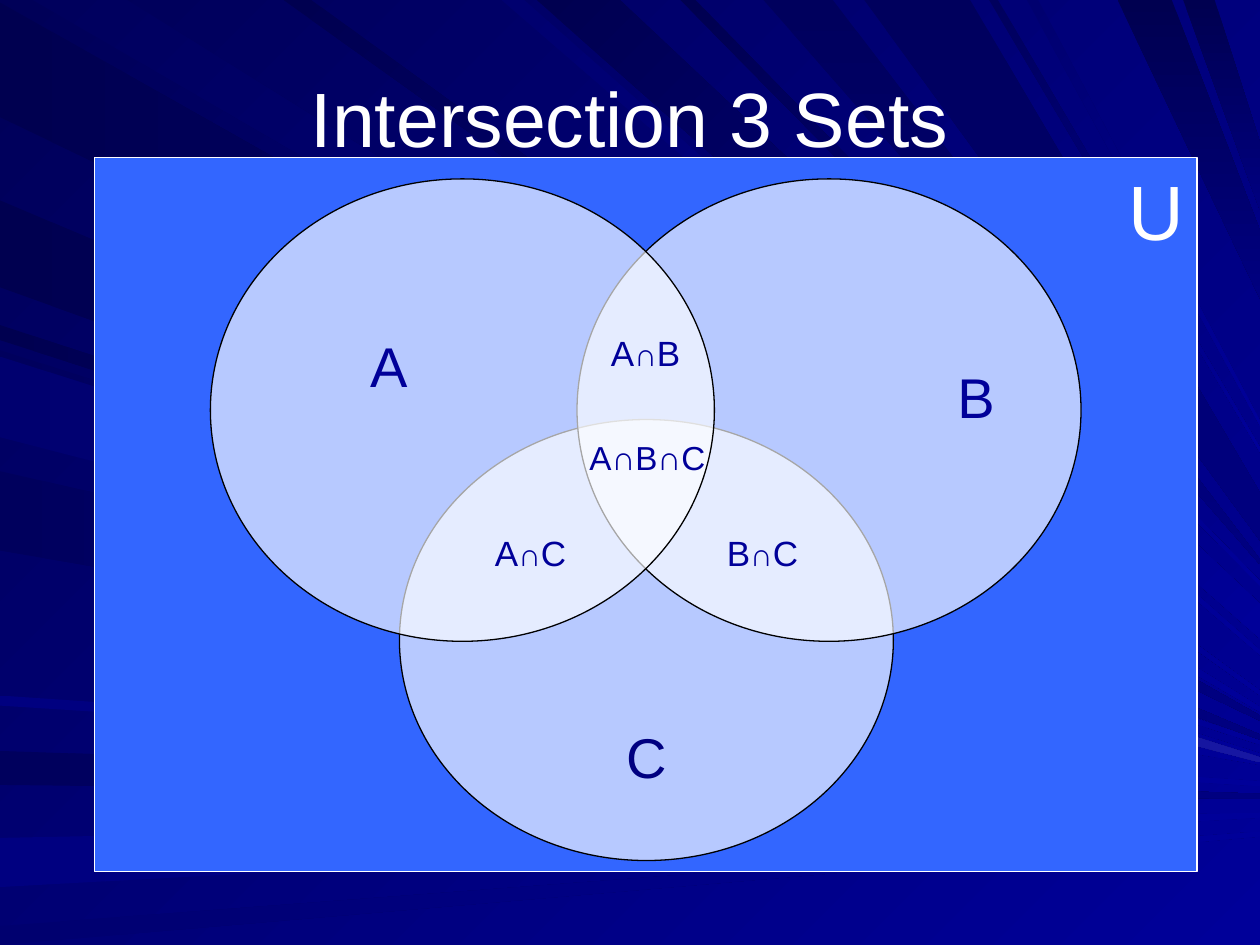
from lxml import etree
from pptx import Presentation
from pptx.dml.color import RGBColor
from pptx.enum.shapes import MSO_SHAPE
from pptx.enum.text import MSO_ANCHOR, PP_ALIGN
from pptx.oxml.ns import qn
from pptx.util import Inches, Pt

LEFT, CENTER, RIGHT = PP_ALIGN.LEFT, PP_ALIGN.CENTER, PP_ALIGN.RIGHT
TOP, MIDDLE, BOTTOM = MSO_ANCHOR.TOP, MSO_ANCHOR.MIDDLE, MSO_ANCHOR.BOTTOM
RECTANGLE, OVAL = MSO_SHAPE.RECTANGLE, MSO_SHAPE.OVAL

FONT = "Arial"
WIDTH, HEIGHT = 10, 7.5
COLORS = {
    "white": "FFFFFF", "black": "000000", "universe": "3366FF",
    "label": "000099", "navy": "000080", "deep": "000058", "glow": "1717A2",
    "ray dark": "000050", "ray middle": "00005D", "ray soft": "00006F",
}
SET_OPACITY = 65

# Rays run from a span of the left or top edge to a tip on the right edge:
# edge, start colour, end colour, span start, span end, tip height, tip width
THIN = 0.04
RAYS = [
    ("left", "ray dark", "navy", 0.02, 0.93, 5.7, THIN),
    ("top", "ray middle", "label", 0.26, 1.01, 5.63, THIN),
    ("left", "ray middle", "navy", 5.96, 6.23, 6.32, THIN),
    ("left", "navy", "label", 6.65, 7.04, 6.47, THIN),
    ("left", "ray soft", "label", 7.35, 7.5, 6.62, THIN),
    ("left", "ray dark", "label", 2.58, 2.7, 5.89, THIN),
    ("left", "ray dark", "navy", 1.59, 2.28, 5.85, THIN),
    ("top", "ray soft", "label", 3.98, 4.16, 5.18, THIN),
    ("top", "ray dark", "label", 4.26, 4.92, 4.93, 0.28),
    ("top", "ray dark", "label", 5.4, 5.52, 4.63, THIN),
    ("top", "ray middle", "navy", 6.06, 6.61, 4.46, THIN),
    ("top", "ray dark", "navy", 8.87, 9.3, 2.1, 0.54),
    ("top", "ray dark", "navy", 9.39, 9.64, 1.4, 0.54),
    ("left", "ray middle", "label", 2.78, 3.42, 6, THIN),
    ("left", "ray middle", "label", 3.74, 4.37, 6.05, THIN),
    ("left", "navy", "label", 5.52, 5.6, 6.22, THIN),
    ("top", "ray dark", "label", 2.25, 2.47, 5.5, THIN),
    ("top", "ray middle", "navy", 6.86, 7.7, 4.1, 0.38),
    ("top", "ray middle", "label", 7.85, 7.92, 3.57, THIN),
    ("top", "ray soft", "label", 8.15, 8.24, 3.36, THIN),
    ("left", "ray soft", "glow", 2.83, 3.47, 6.03, THIN),
]

TITLE = ("Intersection 3 Sets", (0.5, 0.3, 9, 1.25))
UNIVERSE = ("U", (0.75, 1.25, 8.75, 5.67))
SET_C = ("C", (3.17, 3.33, 3.92, 3.5))
SET_TOP, SET_SIZE = 1.42, (4, 3.67)
LABEL_SIZE = (0.5, 0.64)
# Name, left of the ellipse, place of the label
SETS = [("B", 4.58, (7.5, 2.83)), ("A", 1.67, (2.84, 2.58))]
# Text, place, letter size, sign size
PAIR_SIZE = (0.83, 0.44)
INTERSECTIONS = [
    ("A∩B∩C", (4.58, 3.42, 1.17, 0.42), 19, 19),
    ("B∩C", (5.67, 4.17, *PAIR_SIZE), 20, 18),
    ("A∩C", (3.83, 4.17, *PAIR_SIZE), 20, 18),
    ("A∩B", (4.75, 2.58, *PAIR_SIZE), 20, 18),
]


def rgb(name):
    return RGBColor.from_string(COLORS[name])


def set_gradient(fill, start, end, angle):
    fill.gradient()
    fill.gradient_angle = -angle % 360
    for stop, name in zip(fill.gradient_stops, (start, end)):
        stop.color.rgb = rgb(name)


def write_text(shape, text, size=32, color="label", align=LEFT, anchor=TOP, sign_size=None):
    """Write one paragraph; intersection signs may have their own size."""
    frame = shape.text_frame
    frame.word_wrap = True
    frame.vertical_anchor = anchor
    para = frame.paragraphs[0]
    para.alignment = align
    for piece in text if sign_size else [text]:
        span = para.add_run()
        span.text = piece
        span.font.name = FONT
        span.font.size = Pt(sign_size if piece == "∩" else size)
        span.font.color.rgb = rgb(color)


def add_label(slide, text, place, **text_format):
    box = slide.shapes.add_textbox(*map(Inches, place))
    write_text(box, text, **text_format)


def add_outlined(slide, kind, place, fill, line):
    shape = slide.shapes.add_shape(kind, *map(Inches, place))
    shape.shadow.inherit = False
    shape.fill.solid()
    shape.fill.fore_color.rgb = rgb(fill)
    shape.line.color.rgb = rgb(line)
    shape.line.width = Pt(0.75)
    return shape


def add_set(slide, place):
    """Add a see-through ellipse."""
    shape = add_outlined(slide, OVAL, place, "white", "black")
    color = shape._element.spPr.find(qn("a:solidFill"))[0]
    etree.SubElement(color, qn("a:alpha"), val=str(SET_OPACITY * 1000))
    return shape


def add_ray(slide, edge, start, end, span_start, span_end, tip, tip_width):
    upper, lower = (WIDTH, tip - tip_width / 2), (WIDTH, tip + tip_width / 2)
    if edge == "left":
        corners = [(0, span_start), (0, span_end), lower, upper]
        angle = 0
    else:
        corners = [(span_start, 0), (span_end, 0), upper, lower]
        angle = 90 if end == "navy" else 45
    first, *others = [(Inches(x), Inches(y)) for x, y in corners]
    builder = slide.shapes.build_freeform(*first)
    builder.add_line_segments(others, close=True)
    ray = builder.convert_to_shape()
    ray.shadow.inherit = False
    ray.line.fill.background()
    set_gradient(ray.fill, start, end, angle)


def main():
    deck = Presentation()
    deck.slide_width, deck.slide_height = Inches(WIDTH), Inches(HEIGHT)
    slide = deck.slides.add_slide(deck.slide_layouts[6])
    set_gradient(slide.background.fill, "deep", "label", 45)
    for ray in RAYS:
        add_ray(slide, *ray)

    name, place = UNIVERSE
    universe = add_outlined(slide, RECTANGLE, place, "universe", "white")
    write_text(universe, name, size=44, color="white", align=RIGHT)
    name, place = SET_C
    write_text(add_set(slide, place), name, color="navy", align=CENTER, anchor=BOTTOM)
    add_label(slide, *TITLE, size=44, color="white", align=CENTER, anchor=MIDDLE)

    for name, left, label_place in SETS:
        add_set(slide, (left, SET_TOP, *SET_SIZE))
        add_label(slide, name, (*label_place, *LABEL_SIZE))
    for text, place, size, sign_size in INTERSECTIONS:
        add_label(slide, text, place, size=size, sign_size=sign_size)
    deck.save("out.pptx")


if __name__ == "__main__":
    main()
